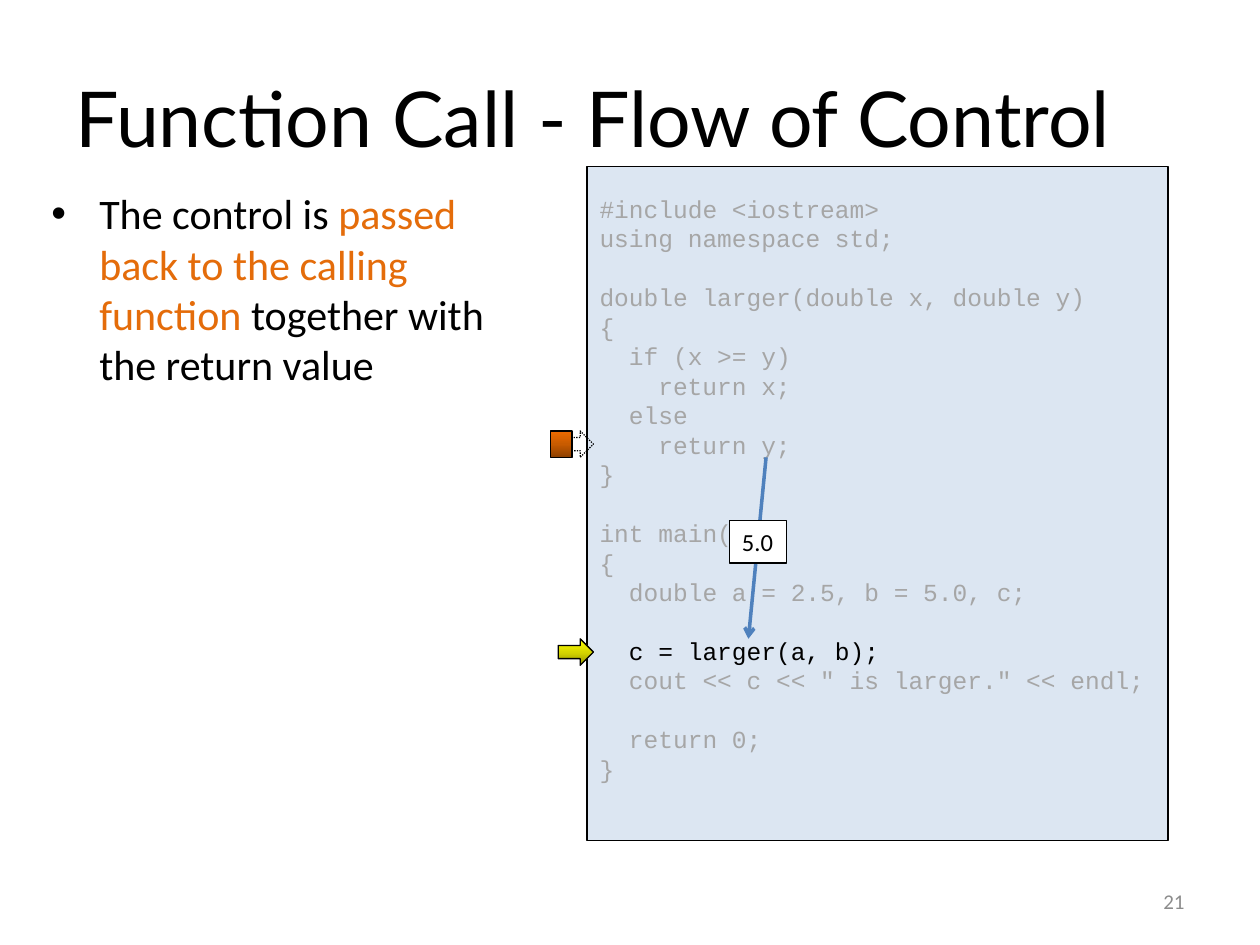
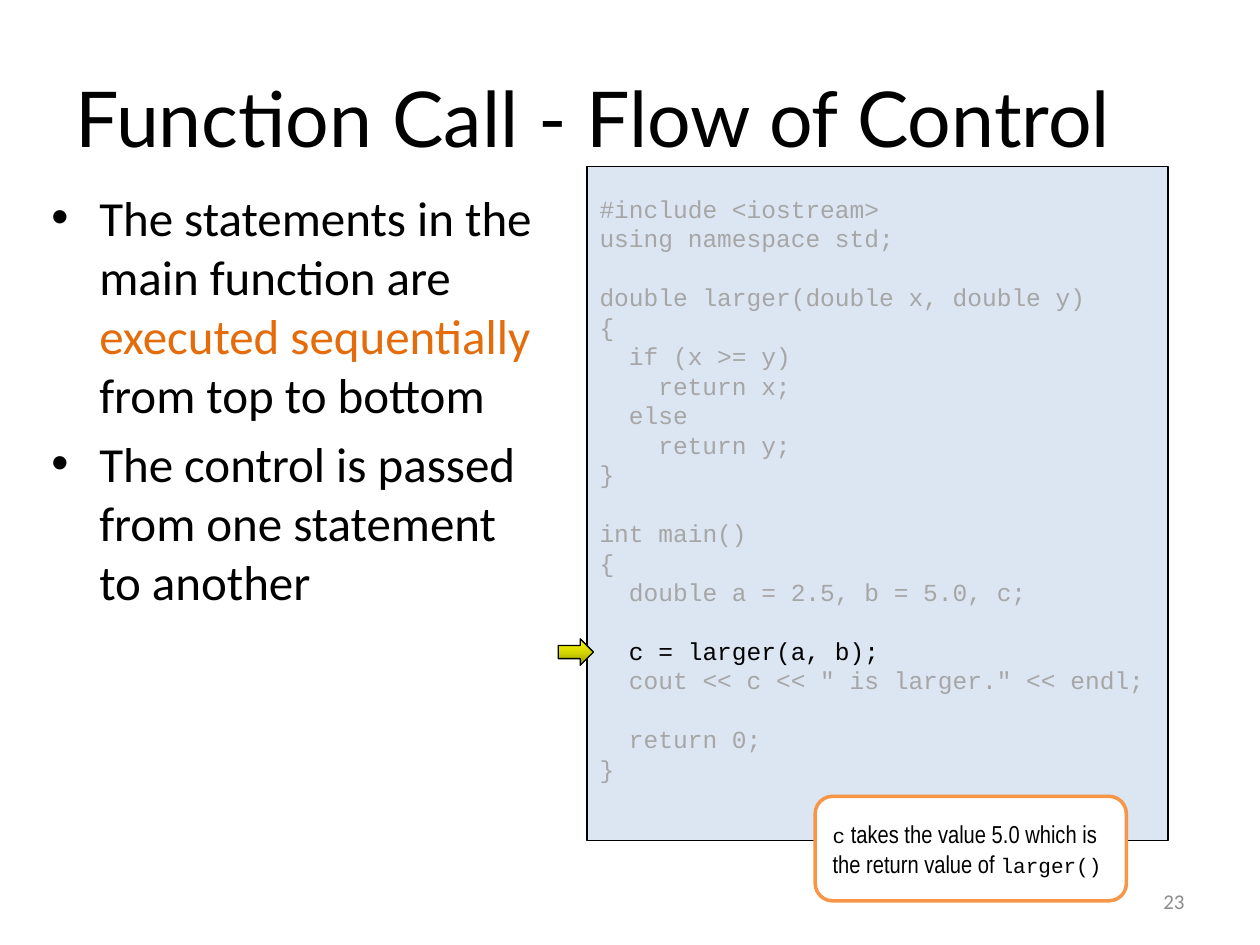
"""Build two slides that explain the flow of control in a function call."""
import copy

import pptx
import pptx.dml.color
import pptx.enum.dml
import pptx.enum.shapes
import pptx.enum.text
import pptx.oxml
import pptx.oxml.ns
import pptx.util

Inches = pptx.util.Inches
Pt = pptx.util.Pt
Shape = pptx.enum.shapes.MSO_SHAPE
Align = pptx.enum.text.PP_ALIGN
Anchor = pptx.enum.text.MSO_ANCHOR

BLACK, WHITE, ORANGE = "000000", "FFFFFF", "E46C0A"
CODE_GREY, CODE_FILL, PAGE_GREY = "A6A6A6", "DCE6F2", "8C8C8C"
CALLOUT_LINE, ARROW_BLUE = "F79646", "4F81BD"
YELLOW_STOPS = ("979700", "D7D700", "FFFF00")
ORANGE_STOPS = ("8D4000", "C85B00", "EE6B00")

TITLE = "Function Call - Flow of Control"
CODE = """#include <iostream>
using namespace std;

double larger(double x, double y)
{
  if (x >= y)
    return x;
  else
    return y;
}

int main()
{
  double a = 2.5, b = 5.0, c;

  c = larger(a, b);
  cout << c << " is larger." << endl;

  return 0;
}"""
CURRENT_STATEMENT = "c = larger(a, b);"
CODE_SIZE = 14
CODE_PITCH = 16.85
CODE_CHARACTER = 0.6 * CODE_SIZE


def color(hex_string):
    """Turn a hex string into a colour."""
    return pptx.dml.color.RGBColor.from_string(hex_string)


def write(paragraph, text, font="Calibri", size=14, ink=BLACK):
    """Add one formatted run to a paragraph."""
    run = paragraph.add_run()
    run.text = text
    run.font.name = font
    run.font.size = Pt(size)
    run.font.color.rgb = color(ink)


def add_bullet(paragraph, hanging):
    """Give a paragraph a bullet with a hanging indent."""
    properties = paragraph._p.get_or_add_pPr()
    properties.set("marL", str(Inches(hanging)))
    properties.set("indent", str(-Inches(hanging)))
    namespace = pptx.oxml.ns.nsdecls("a")
    for tag in ('<a:buFont %s typeface="Arial"/>', '<a:buChar %s char="\u2022"/>'):
        properties.append(pptx.oxml.parse_xml(tag % namespace))


def fill_gradient(shape, colors):
    """Fill a shape with evenly spaced colours from bottom to top."""
    shape.fill.gradient()
    shape.fill.gradient_angle = 90
    stop_list = shape._element.spPr.find(".//" + pptx.oxml.ns.qn("a:gsLst"))
    for _ in range(len(colors) - len(stop_list)):
        stop_list.append(copy.deepcopy(stop_list[-1]))
    for index, stop in enumerate(shape.fill.gradient_stops):
        stop.position = index / (len(colors) - 1)
        stop.color.rgb = color(colors[index])


class Deck:
    """Hold the style of the presentation and the current slide."""

    def __init__(self):
        """Start an empty presentation."""
        self.presentation = pptx.Presentation()
        self.presentation.slide_width = Inches(10)
        self.presentation.slide_height = Inches(7.5)
        self.slide = None

    def text_box(self, left, top, width, height, anchor=Anchor.TOP):
        """Add a wrapping text box and return its text frame."""
        box = self.slide.shapes.add_textbox(
            Inches(left), Inches(top), Inches(width), Inches(height))
        frame = box.text_frame
        frame.word_wrap = True
        frame.vertical_anchor = anchor
        return frame

    def shape(self, kind, left, top, width, height, fill=None, line=BLACK, weight=0.75):
        """Add a preset shape; fill is a colour, gradient colours or None."""
        shape = self.slide.shapes.add_shape(
            kind, Inches(left), Inches(top), Inches(width), Inches(height))
        shape.shadow.inherit = False
        if fill is None:
            shape.fill.background()
        elif isinstance(fill, str):
            shape.fill.solid()
            shape.fill.fore_color.rgb = color(fill)
        else:
            fill_gradient(shape, fill)
        shape.line.color.rgb = color(line)
        shape.line.width = Pt(weight)
        frame = shape.text_frame
        frame.vertical_anchor = Anchor.MIDDLE
        frame.paragraphs[0].alignment = Align.LEFT
        return shape

    def new_slide(self, number):
        """Start a slide with its title and page number."""
        self.slide = self.presentation.slides.add_slide(
            self.presentation.slide_layouts[6])
        title = self.text_box(0.5, 0.3, 9, 1.25, Anchor.MIDDLE)
        write(title.paragraphs[0], TITLE, font="Lato", size=44)
        page = self.text_box(7.17, 6.95, 2.33, 0.4, Anchor.MIDDLE).paragraphs[0]
        page.alignment = Align.RIGHT
        write(page, str(number), size=12, ink=PAGE_GREY)

    def bullets(self, items, size):
        """Add bullets, each a list of (text, colour) parts."""
        frame = self.text_box(0.31, 1.44, 4.06, 5.37)
        for index, parts in enumerate(items):
            paragraph = frame.add_paragraph() if index else frame.paragraphs[0]
            paragraph.space_before = Pt(6)
            add_bullet(paragraph, 0.38)
            for text, ink in parts:
                write(paragraph, text, size=size, ink=ink)

    def code_panel(self):
        """Add the program listing with the current statement in black."""
        panel = self.shape(Shape.RECTANGLE, 4.66, 1.32, 4.61, 5.35, CODE_FILL)
        frame = panel.text_frame
        frame.word_wrap = True
        frame.margin_bottom = Inches(0.05) + Pt(CODE_PITCH)
        paragraph, gap = frame.paragraphs[0], 0
        for index, line in enumerate(CODE.split("\n")):
            statement = line.strip()
            if not statement:
                gap = CODE_PITCH
                continue
            if index:
                paragraph = frame.add_paragraph()
            paragraph.alignment = Align.LEFT
            paragraph.line_spacing = Pt(CODE_PITCH)
            paragraph.space_before = Pt(gap)
            indent = (len(line) - len(statement)) * CODE_CHARACTER
            paragraph._p.get_or_add_pPr().set("marL", str(Pt(indent)))
            ink = BLACK if statement == CURRENT_STATEMENT else CODE_GREY
            write(paragraph, statement, font="Courier New", size=CODE_SIZE, ink=ink)
            gap = 0

    def pointer(self, top, fill=None):
        """Add a block arrow that points at a line of code."""
        return self.shape(Shape.RIGHT_ARROW, 4.43, top, 0.28, 0.21, fill)

    def return_marker(self, top):
        """Add a dotted pointer with an orange block, as one group."""
        arrow = self.pointer(top)
        arrow.line.dash_style = pptx.enum.dml.MSO_LINE.ROUND_DOT
        block = self.shape(Shape.RECTANGLE, 4.37, top, 0.17, 0.21, ORANGE_STOPS)
        self.slide.shapes.add_group_shape([arrow, block])

    def arrow(self, start, end):
        """Add a straight line with an open arrowhead at its end."""
        connector = self.slide.shapes.add_connector(
            pptx.enum.shapes.MSO_CONNECTOR.STRAIGHT,
            *(Inches(value) for value in start + end))
        connector.line.color.rgb = color(ARROW_BLUE)
        connector.line.width = Pt(2)
        namespace = pptx.oxml.ns.nsdecls("a")
        connector.line._get_or_add_ln().append(
            pptx.oxml.parse_xml('<a:tailEnd %s type="arrow"/>' % namespace))
        connector._element.spPr.append(
            pptx.oxml.parse_xml("<a:effectLst %s/>" % namespace))

    def value_label(self, text):
        """Add the small box that shows the returned value."""
        label = self.shape(Shape.RECTANGLE, 5.79, 4.13, 0.45, 0.34, WHITE)
        label.text_frame.word_wrap = False
        write(label.text_frame.paragraphs[0], text)

    def callout(self, parts):
        """Add a rounded note of (text, font, size) parts."""
        note = self.shape(Shape.ROUNDED_RECTANGLE, 6.47, 6.32, 2.47, 0.83,
                          WHITE, CALLOUT_LINE, 2)
        note.text_frame.word_wrap = True
        for text, font, size in parts:
            write(note.text_frame.paragraphs[0], text, font=font, size=size)


def build_return_slide(deck):
    """Show the value going back to the calling function."""
    deck.new_slide(21)
    deck.bullets([[("The control is ", BLACK),
                   ("passed back to the calling function ", ORANGE),
                   ("together with the return value", BLACK)]], 24)
    deck.code_panel()
    deck.pointer(5.07, YELLOW_STOPS)
    deck.arrow((6.08, 3.63), (5.94, 5.07))
    deck.value_label("5.0")
    deck.return_marker(3.42)


def build_sequence_slide(deck):
    """Show the main function going on after the call."""
    deck.new_slide(23)
    deck.bullets([[("The statements in the main function are ", BLACK),
                   ("executed sequentially ", ORANGE),
                   ("from top to bottom", BLACK)],
                  [("The control is passed from one statement to another", BLACK)]], 28)
    deck.code_panel()
    deck.pointer(5.07, YELLOW_STOPS)
    deck.callout([("c", "Courier New", 12),
                  (" takes the value 5.0 which is the return value of ",
                   "Arial Narrow", 14),
                  ("larger()", "Courier New", 12)])


def main():
    """Build and save the presentation."""
    deck = Deck()
    build_return_slide(deck)
    build_sequence_slide(deck)
    deck.presentation.save("out.pptx")


main()
